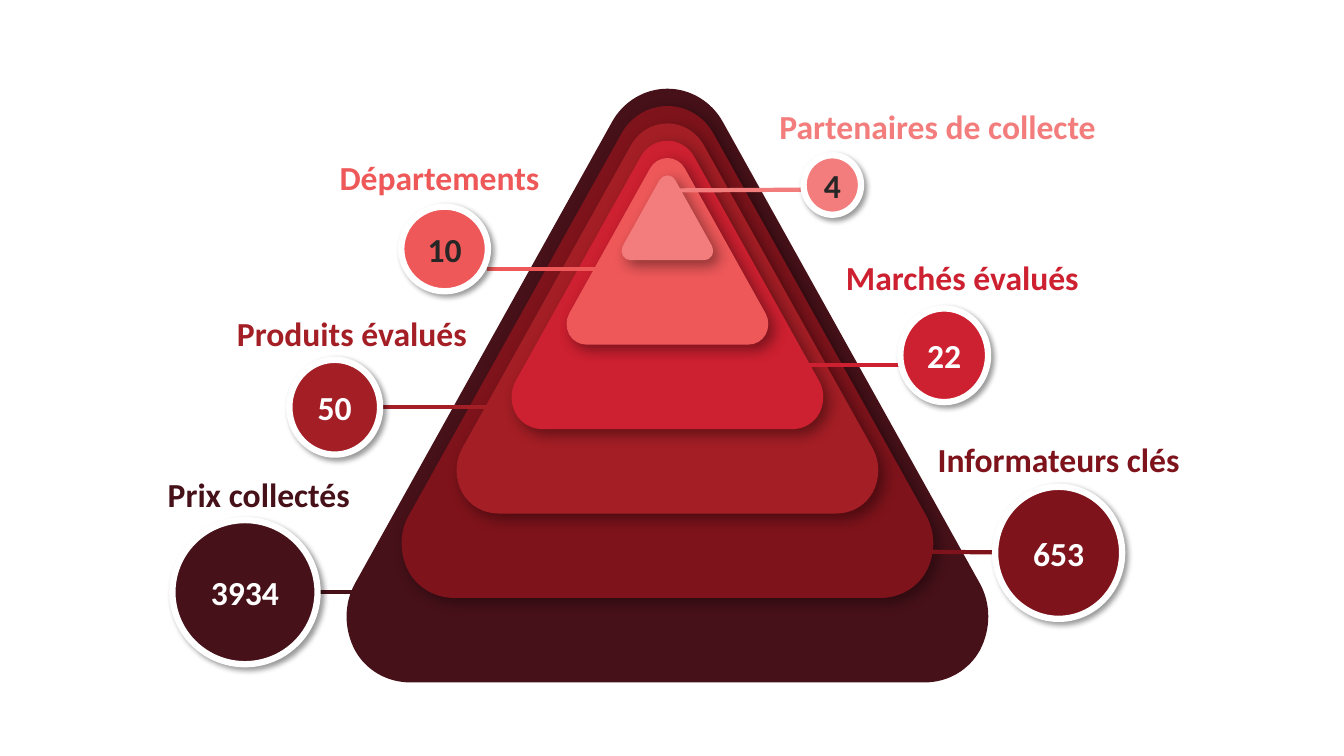
"""Build a slide with a six-level pyramid of survey coverage figures."""
import lxml.etree
import pptx
import pptx.dml.color
import pptx.enum.shapes
import pptx.enum.text
import pptx.oxml
import pptx.oxml.ns
import pptx.util

SLIDE_SIZE = (13.33, 7.5)
FONT, TEXT_SIZE = "Calibri", 24
WHITE, DARK = "FFFFFF", "262626"
LABEL_HEIGHT = 0.56

# Each level, base first: name, figure, fill, figure colour,
# label (left, top, width), circle (left, top, width, height), line (x1, y1, x2, y2)
LEVELS = [
    ("Prix collectés", "3934", "471119", WHITE,
     (1.43, 4.59, 2.04), (1.71, 5.16, 1.44, 1.43), (3.15, 5.87, 3.78, 5.87)),
    ("Informateurs clés", "653", "7E131B", WHITE,
     (9.3, 4.24, 3.06), (9.87, 4.83, 1.26, 1.31), (9.87, 5.48, 8.75, 5.47)),
    ("Produits évalués", "50", "A41E25", WHITE,
     (1.57, 2.99, 3.06), (2.87, 3.57, 0.9, 0.94), (3.78, 4.04, 5.01, 4.04)),
    ("Marchés évalués", "22", "CD2030", WHITE,
     (8.39, 2.44, 3.06), (8.93, 3.06, 0.87, 0.93), (8.93, 3.62, 7.77, 3.62)),
    ("Départements", "10", "EE5859", DARK,
     (2.29, 1.45, 3.06), (3.98, 2.05, 0.86, 0.84), (4.83, 2.67, 5.96, 2.67)),
    ("Partenaires de collecte", "4", "F27D7C", DARK,
     (7.73, 0.94, 3.41), (7.97, 1.54, 0.57, 0.59), (8.3, 1.88, 6.56, 1.89)),
]

APEX_X, APEX_Y, APEX_STEP = 6.62, 0.88, 0.172
SHRINK = 6 / 35
BULGE = 0.03
RIGHT_SIDE = [
    (0, 0), (0.23, 0), (0.44, 0.13), (0.55, 0.33),
    (3.1, 4.91), (3.21, 5.11), (3.21, 5.36), (3.1, 5.57),
    (2.99, 5.77), (2.78, 5.89), (2.55, 5.89),
]
SEGMENT_SIZES = (3, 1, 3, 3, 1, 3, 3, 1, 3)


def inches(*lengths):
    return [pptx.util.Inches(length) for length in lengths]


def paint(target, color):
    if hasattr(target, "solid"):
        target.solid()
        target = target.fore_color
    elif hasattr(target, "color"):
        target = target.color
    target.rgb = pptx.dml.color.RGBColor.from_string(color)


def set_effects(shape, blur=0, distance=0):
    properties = shape._element.spPr
    for old in properties.findall(pptx.oxml.ns.qn("a:effectLst")):
        properties.remove(old)
    shadow = (
        f'<a:outerShdw blurRad="{pptx.util.Pt(blur)}" dist="{pptx.util.Pt(distance)}" '
        'dir="2700000" algn="tl" rotWithShape="0"><a:srgbClr val="000000">'
        '<a:alpha val="40000"/></a:srgbClr></a:outerShdw>'
    ) if blur else ""
    properties.append(pptx.oxml.parse_xml(
        f'<a:effectLst {pptx.oxml.ns.nsdecls("a")}>{shadow}</a:effectLst>'))


def write(shape, text, color, align, anchor, margin):
    frame = shape.text_frame
    frame.vertical_anchor = anchor
    frame.margin_left = frame.margin_right = 0
    frame.margin_top = frame.margin_bottom = pptx.util.Inches(margin)
    para = frame.paragraphs[0]
    para.alignment = align
    span = para.add_run()
    span.text = text
    span.font.name, span.font.bold = FONT, True
    span.font.size = pptx.util.Pt(TEXT_SIZE)
    paint(span.font, color)


def round_corners(shape):
    """Merge each run of three line points into one curve."""
    outline = shape._element.spPr.find(".//" + pptx.oxml.ns.qn("a:path"))
    lines = iter(outline.findall(pptx.oxml.ns.qn("a:lnTo")))
    for size in SEGMENT_SIZES:
        first, *others = [next(lines) for _ in range(size)]
        if others:
            curve = lxml.etree.Element(pptx.oxml.ns.qn("a:cubicBezTo"))
            first.addprevious(curve)
            for line in (first, *others):
                curve.append(line[0])
                outline.remove(line)


def trim_sides(shape, bulge):
    """Bring the frame in from the control points to the visible edge."""
    outline = shape._element.spPr.find(".//" + pptx.oxml.ns.qn("a:path"))
    for point in outline.iter(pptx.oxml.ns.qn("a:pt")):
        point.set("x", str(int(point.get("x")) - bulge))
    shape.left += bulge
    shape.width -= 2 * bulge
    outline.set("w", str(shape.width))


def add_triangle(group, index, color):
    outline = RIGHT_SIDE + [(-x, y) for x, y in reversed(RIGHT_SIDE)]
    scale = 1 - index * SHRINK
    top = APEX_Y + index * APEX_STEP
    points = [inches(APEX_X + x * scale, top + y * scale) for x, y in outline]
    builder = group.shapes.build_freeform(*points[0])
    builder.add_line_segments(points[1:], close=True)
    triangle = builder.convert_to_shape()
    round_corners(triangle)
    trim_sides(triangle, pptx.util.Inches(BULGE * scale))
    paint(triangle.fill, color)
    triangle.line.fill.background()
    set_effects(triangle, *((10, 5) if index else ()))


def add_callout(group, name, figure, color, figure_color, label, circle, line):
    alignment, anchor = pptx.enum.text.PP_ALIGN, pptx.enum.text.MSO_ANCHOR
    link = group.shapes.add_connector(
        pptx.enum.shapes.MSO_CONNECTOR.STRAIGHT, *inches(*line))
    paint(link.line, color)
    link.line.width = pptx.util.Pt(3)
    set_effects(link)

    oval = group.shapes.add_shape(
        pptx.enum.shapes.MSO_SHAPE.OVAL, *inches(*circle))
    paint(oval.fill, color)
    paint(oval.line, WHITE)
    oval.line.width = pptx.util.Pt(4.5)
    set_effects(oval, 4, 3)
    oval.text_frame.word_wrap = False
    write(oval, figure, figure_color, alignment.CENTER, anchor.MIDDLE, 0)

    box = group.shapes.add_textbox(*inches(*label, LABEL_HEIGHT))
    box.text_frame.word_wrap = True
    box.text_frame.auto_size = pptx.enum.text.MSO_AUTO_SIZE.SHAPE_TO_FIT_TEXT
    align = alignment.RIGHT if circle[0] < APEX_X else alignment.LEFT
    write(box, name, color, align, anchor.BOTTOM, 0.05)


def main():
    deck = pptx.Presentation()
    deck.slide_width, deck.slide_height = inches(*SLIDE_SIZE)
    page = deck.slides.add_slide(deck.slide_layouts[6])
    group = page.shapes.add_group_shape()
    for index, level in enumerate(LEVELS):
        add_triangle(group, index, level[2])
    for level in LEVELS:
        add_callout(group, *level)
    deck.save("out.pptx")


if __name__ == "__main__":
    main()
